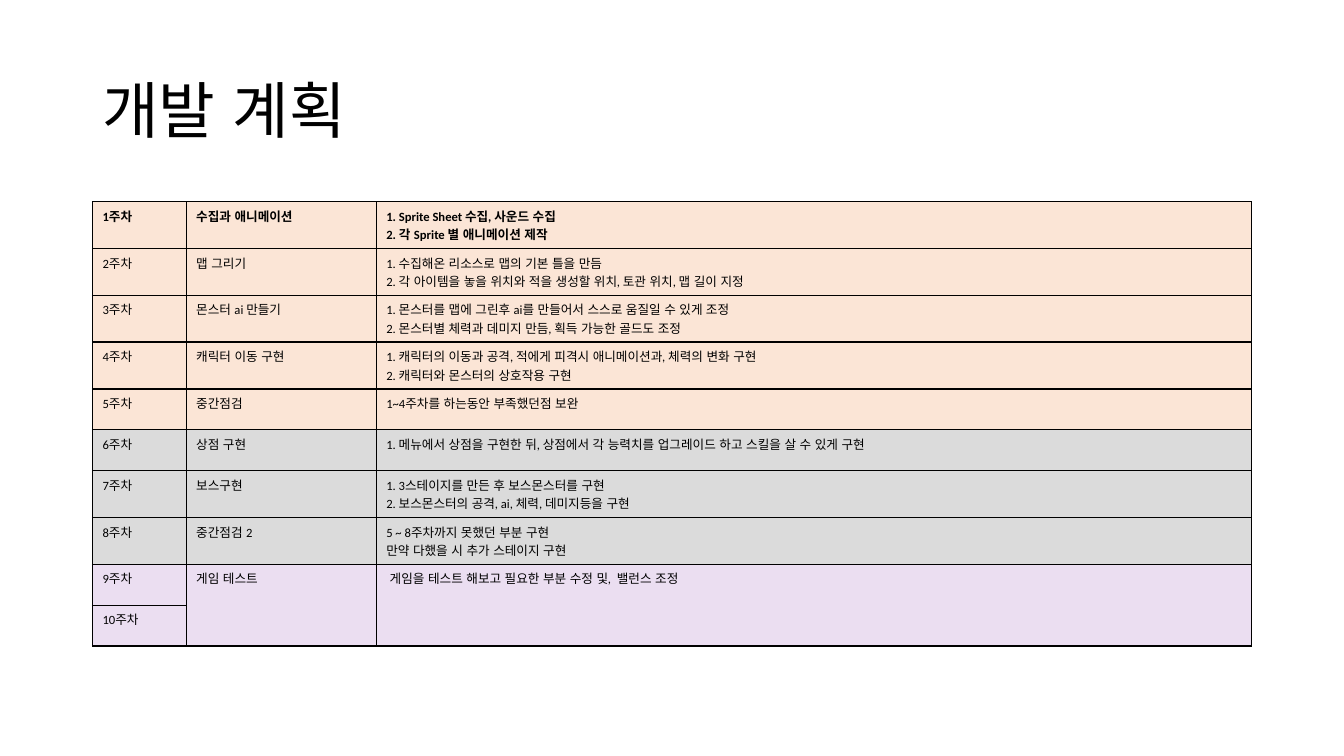
from pptx import Presentation
from pptx.dml.color import RGBColor
from pptx.enum.lang import MSO_LANGUAGE_ID
from pptx.enum.text import MSO_ANCHOR
from pptx.oxml import parse_xml
from pptx.oxml.ns import nsdecls
from pptx.util import Cm, Pt

MIDDLE = MSO_ANCHOR.MIDDLE
KOREAN = MSO_LANGUAGE_ID.KOREAN
BLACK = RGBColor(0x00, 0x00, 0x00)
PEACH = RGBColor(0xFB, 0xE5, 0xD6)
GREY = RGBColor(0xDB, 0xDB, 0xDB)
LILAC = RGBColor(0xEB, 0xDE, 0xF1)
FONT = "Calibri"
LEFT, WIDTH = 2.33, 29.21
COLS = (2.36, 4.79, 22.06)
LOW, HIGH = 1.03, 1.18  # rows of one and of two lines

# Task, details and fill for each week
WEEKS = [
    ("수집과 애니메이션\u00a0",
     "1. Sprite Sheet 수집, 사운드 수집\n2. 각 Sprite 별 애니메이션 제작", PEACH),
    ("맵\u00a0그리기",
     "1. 수집해온 리소스로 맵의 기본 틀을 만듬\n"
     "2. 각 아이템을 놓을 위치와 적을 생성할 위치, 토관 위치, 맵 길이 지정", PEACH),
    ("몬스터 ai 만들기",
     "1. 몬스터를 맵에 그린후 ai를 만들어서 스스로 움질일 수 있게\u00a0조정\n"
     "2. 몬스터별\u00a0체력과 데미지 만듬, 획득 가능한 골드도 조정", PEACH),
    ("캐릭터 이동 구현",
     "1. 캐릭터의\u00a0이동과\u00a0공격, 적에게 피격시 애니메이션과, 체력의 변화 구현\n"
     "2. 캐릭터와 몬스터의 상호작용 구현", PEACH),
    ("중간점검", "1~4주차를 하는동안 부족했던점 보완", PEACH),
    ("상점 구현",
     "1. 메뉴에서 상점을 구현한 뒤, 상점에서 각 능력치를 업그레이드 하고 "
     "스킬을 살 수 있게 구현", GREY),
    ("보스구현",
     "1. 3스테이지를 만든 후\u00a0보스몬스터를 구현\n"
     "2. 보스몬스터의 공격, ai, 체력, 데미지등을 구현", GREY),
    ("중간점검 2",
     "5 ~ 8주차까지 못했던 부분 구현\n만약 다했을 시 추가 스테이지 구현", GREY),
    ("게임 테스트",
     "\u00a0게임을 테스트 해보고\u00a0필요한 부분 수정 및,\u00a0 밸런스 조정", LILAC),
    ("", "", LILAC),
]


def write(frame, text, size, bold=False):
    frame.text = text
    style = {"name": FONT, "size": Pt(size), "bold": bold,
             "language_id": KOREAN}
    for para in frame.paragraphs:
        for run in para.runs:
            for key, value in style.items():
                setattr(run.font, key, value)
            run.font.color.rgb = BLACK


def add_title(slide, text):
    box = slide.shapes.add_textbox(Cm(LEFT), Cm(1.01), Cm(WIDTH), Cm(3.68))
    frame = box.text_frame
    frame.word_wrap = True
    frame.vertical_anchor = MIDDLE
    write(frame, text, 44)
    frame.paragraphs[0].line_spacing = 0.9


def style_cell(cell, fill):
    # Borders come before the fill in the cell properties
    props = cell._tc.get_or_add_tcPr()
    for side in "LRTB":
        props.append(parse_xml(
            f'<a:ln{side} {nsdecls("a")} w="{Pt(1)}"><a:solidFill>'
            f'<a:srgbClr val="{BLACK}"/></a:solidFill></a:ln{side}>'))
    cell.fill.solid()
    cell.fill.fore_color.rgb = fill


def add_plan(slide):
    count = len(WEEKS)
    highs = [HIGH if "\n" in details else LOW for _, details, _ in WEEKS]
    table = slide.shapes.add_table(
        count, len(COLS), Cm(LEFT), Cm(5.08), Cm(WIDTH), Cm(sum(highs))).table
    for col, width in zip(table.columns, COLS):
        col.width = Cm(width)
    for row, high in zip(table.rows, highs):
        row.height = Cm(high)

    # The last two weeks share one task
    for col in (1, 2):
        table.cell(count - 2, col).merge(table.cell(count - 1, col))

    for num, (task, details, fill) in enumerate(WEEKS):
        for col, text in enumerate((f"{num + 1}주차", task, details)):
            cell = table.cell(num, col)
            style_cell(cell, fill)
            if text:
                write(cell.text_frame, text, 9, bold=num == 0)


def main():
    deck = Presentation()
    deck.slide_width, deck.slide_height = Cm(33.87), Cm(19.05)
    slide = deck.slides.add_slide(deck.slide_layouts[6])
    add_title(slide, "개발 계획")
    add_plan(slide)
    deck.save("out.pptx")


main()
